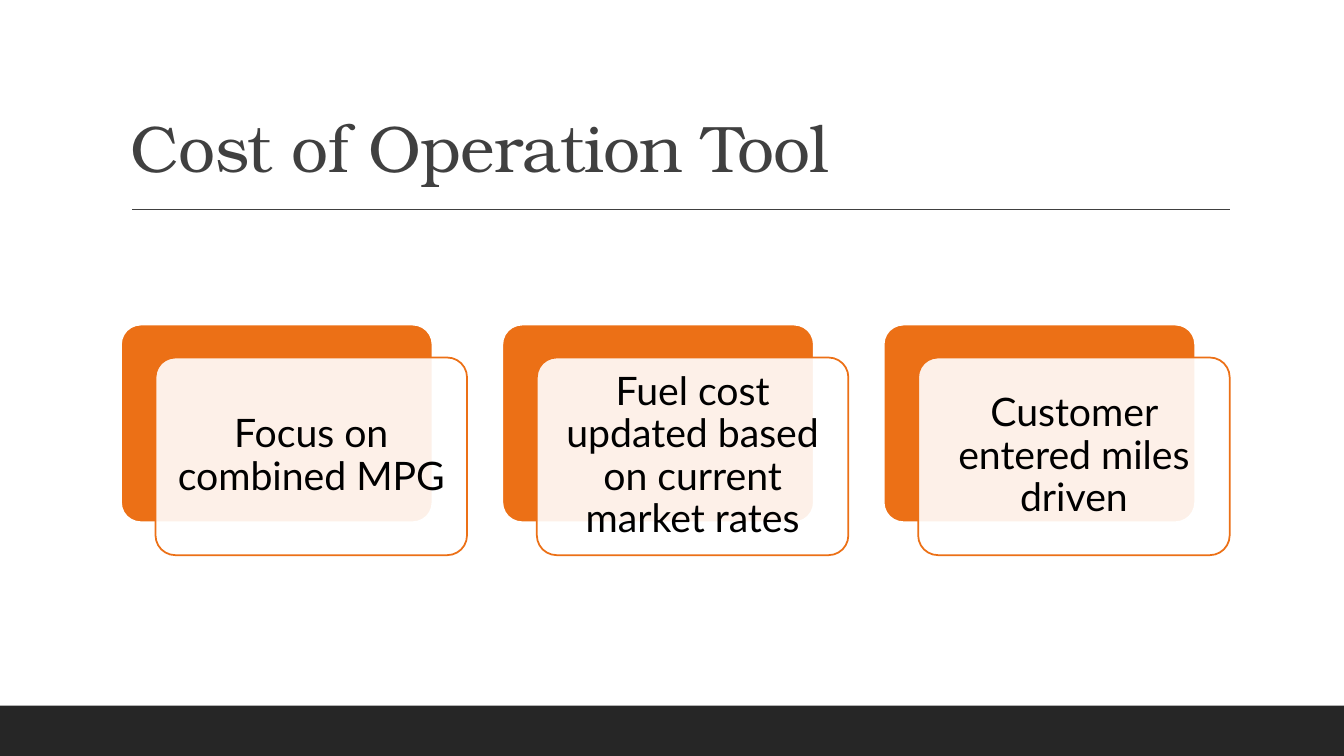
from dataclasses import dataclass

from lxml import etree
from pptx import Presentation
from pptx import util as u
from pptx.dml.color import RGBColor
from pptx.enum import shapes, text
from pptx.oxml import ns
from pptx.shapes.autoshape import Shape
from pptx.slide import Slide

WHITE = RGBColor(0xFF, 0xFF, 0xFF)
BLACK = RGBColor(0x00, 0x00, 0x00)
ORANGE = RGBColor(0xEC, 0x70, 0x16)
GRAY = RGBColor(0x40, 0x40, 0x40)
CHARCOAL = RGBColor(0x26, 0x26, 0x26)

SLIDE_WIDTH, SLIDE_HEIGHT = 33.87, 19.05
FOOTER_HEIGHT = 1.27
CARD_LEFT, CARD_TOP, CARD_PITCH = 3.05, 8.18, 9.61
CARD_WIDTH, CARD_HEIGHT = 7.85, 4.98
FRONT_SHIFT_X, FRONT_SHIFT_Y = 0.87, 0.83
LABEL_MARGIN = 0.14


@dataclass(frozen=True)
class Box:
    left: float
    top: float
    width: float
    height: float

    def moved(self, right: float, down: float) -> "Box":
        return Box(self.left + right, self.top + down, self.width, self.height)

    def inset(self, margin: float) -> "Box":
        return Box(self.left + margin, self.top + margin,
                   self.width - 2 * margin, self.height - 2 * margin)

    def lengths(self) -> list[u.Length]:
        return [u.Cm(value) for value in (self.left, self.top, self.width, self.height)]


@dataclass(frozen=True)
class TextStyle:
    font: dict
    frame: dict
    paragraph: dict
    color: RGBColor
    spacing: int = 0


TITLE_STYLE = TextStyle(
    font={"name": "TeX Gyre Bonum", "size": u.Pt(47)},
    frame={"word_wrap": True, "vertical_anchor": text.MSO_ANCHOR.BOTTOM},
    paragraph={"line_spacing": 0.9, "alignment": text.PP_ALIGN.LEFT},
    color=GRAY,
    spacing=-50,
)
LABEL_MARGINS = {f"margin_{side}": u.Cm(0.3) for side in ("left", "top", "right", "bottom")}
LABEL_STYLE = TextStyle(
    font={"name": "Lato", "size": u.Pt(28)},
    frame={"word_wrap": True, "vertical_anchor": text.MSO_ANCHOR.MIDDLE, **LABEL_MARGINS},
    paragraph={"line_spacing": 0.9, "alignment": text.PP_ALIGN.CENTER},
    color=BLACK,
)
CARD_LABELS = (
    "Focus on combined MPG",
    "Fuel cost updated based on current market rates",
    "Customer entered miles driven",
)


def set_values(target: object, values: dict) -> None:
    for name, value in values.items():
        setattr(target, name, value)


def add_text(slide: Slide, box: Box, words: str, style: TextStyle) -> None:
    frame = slide.shapes.add_textbox(*box.lengths()).text_frame
    set_values(frame, style.frame)
    paragraph = frame.paragraphs[0]
    set_values(paragraph, style.paragraph)
    run = paragraph.add_run()
    run.text = words
    set_values(run.font, style.font)
    run.font.color.rgb = style.color
    if style.spacing:
        run.font._element.set("spc", str(style.spacing))


def add_filled_shape(slide: Slide, kind: shapes.MSO_SHAPE, box: Box, fill: RGBColor) -> Shape:
    shape = slide.shapes.add_shape(kind, *box.lengths())
    shape.shadow.inherit = False
    shape.fill.solid()
    shape.fill.fore_color.rgb = fill
    shape.line.fill.background()
    return shape


def add_panel(slide: Slide, box: Box, fill: RGBColor, outline: RGBColor) -> Shape:
    panel = add_filled_shape(slide, shapes.MSO_SHAPE.ROUNDED_RECTANGLE, box, fill)
    panel.adjustments[0] = 0.1
    panel.line.color.rgb = outline
    panel.line.width = u.Pt(1.25)
    return panel


def set_opacity(shape: Shape, percent: int) -> None:
    color = shape._element.spPr.find(ns.qn("a:solidFill"))[0]
    etree.SubElement(color, ns.qn("a:alpha")).set("val", str(percent * 1000))


def add_card(slide: Slide, box: Box, label: str) -> None:
    add_panel(slide, box, ORANGE, WHITE)
    front = box.moved(FRONT_SHIFT_X, FRONT_SHIFT_Y)
    set_opacity(add_panel(slide, front, WHITE, ORANGE), 90)
    add_text(slide, front.inset(LABEL_MARGIN), label, LABEL_STYLE)


def add_rule(slide: Slide, left: float, right: float, top: float) -> None:
    rule = slide.shapes.add_connector(
        shapes.MSO_CONNECTOR.STRAIGHT, u.Cm(left), u.Cm(top), u.Cm(right), u.Cm(top))
    rule.line.color.rgb = GRAY
    rule.line.width = u.Pt(1)
    etree.SubElement(rule._element.spPr, ns.qn("a:effectLst"))


def main() -> None:
    presentation = Presentation()
    set_values(presentation, {"slide_width": u.Cm(SLIDE_WIDTH),
                              "slide_height": u.Cm(SLIDE_HEIGHT)})
    slide = presentation.slides.add_slide(presentation.slide_layouts[6])

    footer = Box(0, SLIDE_HEIGHT - FOOTER_HEIGHT, SLIDE_WIDTH, FOOTER_HEIGHT)
    add_filled_shape(slide, shapes.MSO_SHAPE.RECTANGLE, footer, CHARCOAL)
    add_rule(slide, 3.33, 31, 5.28)
    add_text(slide, Box(3.05, 0.79, 27.94, 4.04), "Cost of Operation Tool", TITLE_STYLE)

    first_card = Box(CARD_LEFT, CARD_TOP, CARD_WIDTH, CARD_HEIGHT)
    for index, label in enumerate(CARD_LABELS):
        add_card(slide, first_card.moved(index * CARD_PITCH, 0), label)

    presentation.save("out.pptx")


if __name__ == "__main__":
    main()
